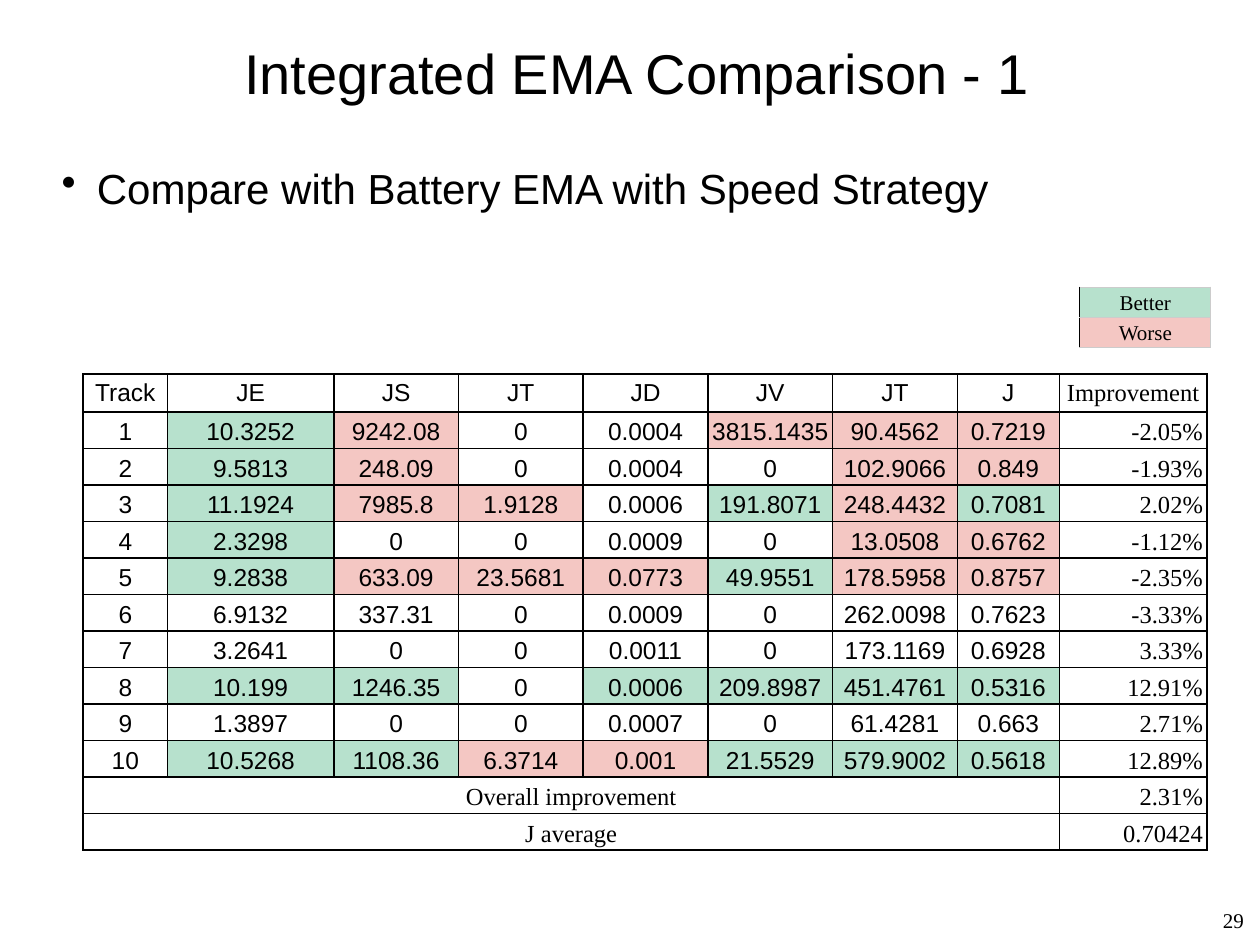
from lxml.etree import SubElement
from pptx import Presentation
from pptx.dml.color import RGBColor
from pptx.enum.text import MSO_ANCHOR, PP_ALIGN
from pptx.oxml.ns import qn
from pptx.util import Inches, Pt

COLORS = {"ink": "000000", "edge": "CCCCCC", "better": "B7E1CD", "worse": "F4C7C3"}
SANS, SERIF = "Arial", "Times New Roman"
GRADES = {"+": "better", "-": "worse"}

TITLE = "Integrated EMA Comparison - 1"
BULLET = "Compare with Battery EMA with Speed Strategy"
PAGE = "29"
LEGEND = [("Better", "better"), ("Worse", "worse")]
HEADINGS = ["Track", "JE", "JS", "JT", "JD", "JV", "JT", "J", "Improvement"]
# Each track: values JE to J, their grades (+ better, - worse), improvement
TRACKS = [
    ("10.3252 9242.08 0 0.0004 3815.1435 90.4562 0.7219", "+-..---", "-2.05%"),
    ("9.5813 248.09 0 0.0004 0 102.9066 0.849", "+-...--", "-1.93%"),
    ("11.1924 7985.8 1.9128 0.0006 191.8071 248.4432 0.7081", "+--.+-+", "2.02%"),
    ("2.3298 0 0 0.0009 0 13.0508 0.6762", "+....--", "-1.12%"),
    ("9.2838 633.09 23.5681 0.0773 49.9551 178.5958 0.8757", "+---+--", "-2.35%"),
    ("6.9132 337.31 0 0.0009 0 262.0098 0.7623", ".......", "-3.33%"),
    ("3.2641 0 0 0.0011 0 173.1169 0.6928", ".......", "3.33%"),
    ("10.199 1246.35 0 0.0006 209.8987 451.4761 0.5316", "++.++++", "12.91%"),
    ("1.3897 0 0 0.0007 0 61.4281 0.663", ".......", "2.71%"),
    ("10.5268 1108.36 6.3714 0.001 21.5529 579.9002 0.5618", "++--+++", "12.89%"),
]
SUMMARY = [("Overall improvement", "2.31%"), ("J average", "0.70424")]
COLUMN_WIDTHS = [0.67, 1.32] + [0.99] * 5 + [0.81, 1.17]
ROW_HEIGHTS = [0.3] + [0.29] * (len(TRACKS) + len(SUMMARY))


def write(frame, text, size, font, align):
    paragraph = frame.paragraphs[0]
    paragraph.text = text
    paragraph.alignment = align
    paragraph.font.size = Pt(size)
    paragraph.font.name = font
    paragraph.font.color.rgb = RGBColor.from_string(COLORS["ink"])
    return paragraph


def add_text(slide, box, text, size, font, align, anchor):
    frame = slide.shapes.add_textbox(*map(Inches, box)).text_frame
    frame.word_wrap = True
    frame.vertical_anchor = anchor
    return write(frame, text, size, font, align)


def add_grid(slide, left, top, widths, heights):
    table = slide.shapes.add_table(
        len(heights), len(widths), Inches(left), Inches(top),
        Inches(sum(widths)), Inches(sum(heights))).table
    table.first_row = table.horz_banding = False
    for column, width in zip(table.columns, widths):
        column.width = Inches(width)
    for row, height in zip(table.rows, heights):
        row.height = Inches(height)
    return table


def style_cell(cell, width, edges):
    cell.margin_left = cell.margin_right = Inches(0.03)
    cell.margin_top = cell.margin_bottom = Inches(0.02)
    cell.vertical_anchor = MSO_ANCHOR.BOTTOM
    properties = cell._tc.get_or_add_tcPr()
    for side, color in zip("LRTB", edges):
        line = SubElement(properties, qn(f"a:ln{side}"), w=str(Pt(width)))
        fill = SubElement(line, qn("a:solidFill"))
        SubElement(fill, qn("a:srgbClr"), val=COLORS[color])
    cell.fill.background()


def fill_cell(cell, text, size, font, align=PP_ALIGN.CENTER, grade=None):
    write(cell.text_frame, text, size, font, align)
    if grade:
        cell.fill.solid()
        cell.fill.fore_color.rgb = RGBColor.from_string(COLORS[grade])


def add_legend(slide):
    legend = add_grid(slide, 8.57, 2.28, [1.04], [0.23, 0.22])
    for row, (label, grade) in enumerate(LEGEND):
        cell = legend.cell(row, 0)
        style_cell(cell, 0.75, ["ink", "edge", "edge", "edge"])
        fill_cell(cell, label, 12, SERIF, grade=grade)


def add_comparison(slide):
    table = add_grid(slide, 0.66, 2.97, COLUMN_WIDTHS, ROW_HEIGHTS)
    last = len(HEADINGS) - 1
    for cell in table.iter_cells():
        style_cell(cell, 1, ["ink"] * 4)
    for column, heading in enumerate(HEADINGS):
        cell = table.cell(0, column)
        cell.vertical_anchor = MSO_ANCHOR.MIDDLE
        fill_cell(cell, heading, 14, SERIF if column == last else SANS)
    for row, (values, grades, improvement) in enumerate(TRACKS, 1):
        fill_cell(table.cell(row, 0), str(row), 14, SANS)
        for column, (value, grade) in enumerate(zip(values.split(), grades), 1):
            fill_cell(table.cell(row, column), value, 14, SANS, grade=GRADES.get(grade))
        fill_cell(table.cell(row, last), improvement, 14, SERIF, PP_ALIGN.RIGHT)
    for row, (label, value) in enumerate(SUMMARY, len(TRACKS) + 1):
        table.cell(row, 0).merge(table.cell(row, last - 1))
        fill_cell(table.cell(row, 0), label, 14, SERIF)
        fill_cell(table.cell(row, last), value, 14, SERIF, PP_ALIGN.RIGHT)


def main():
    deck = Presentation()
    deck.slide_width, deck.slide_height = Inches(10), Inches(7.5)
    slide = deck.slides.add_slide(deck.slide_layouts[6])
    add_text(slide, (1.14, 0.12, 7.83, 0.91), TITLE, 32, SANS,
             PP_ALIGN.CENTER, MSO_ANCHOR.MIDDLE)
    add_text(slide, (9.38, 7.1, 0.59, 0.4), PAGE, 12, SERIF,
             PP_ALIGN.RIGHT, MSO_ANCHOR.MIDDLE)
    bullet = add_text(slide, (0.39, 1.24, 9.22, 2.9), BULLET, 24, SANS,
                      PP_ALIGN.LEFT, MSO_ANCHOR.TOP)
    properties = bullet._p.get_or_add_pPr()
    properties.set("marL", str(Inches(0.28)))
    properties.set("indent", str(Inches(-0.28)))
    marker = properties.makeelement(qn("a:buChar"), {"char": "•"})
    properties.find(qn("a:defRPr")).addprevious(marker)
    add_legend(slide)
    add_comparison(slide)
    deck.save("out.pptx")


if __name__ == "__main__":
    main()
